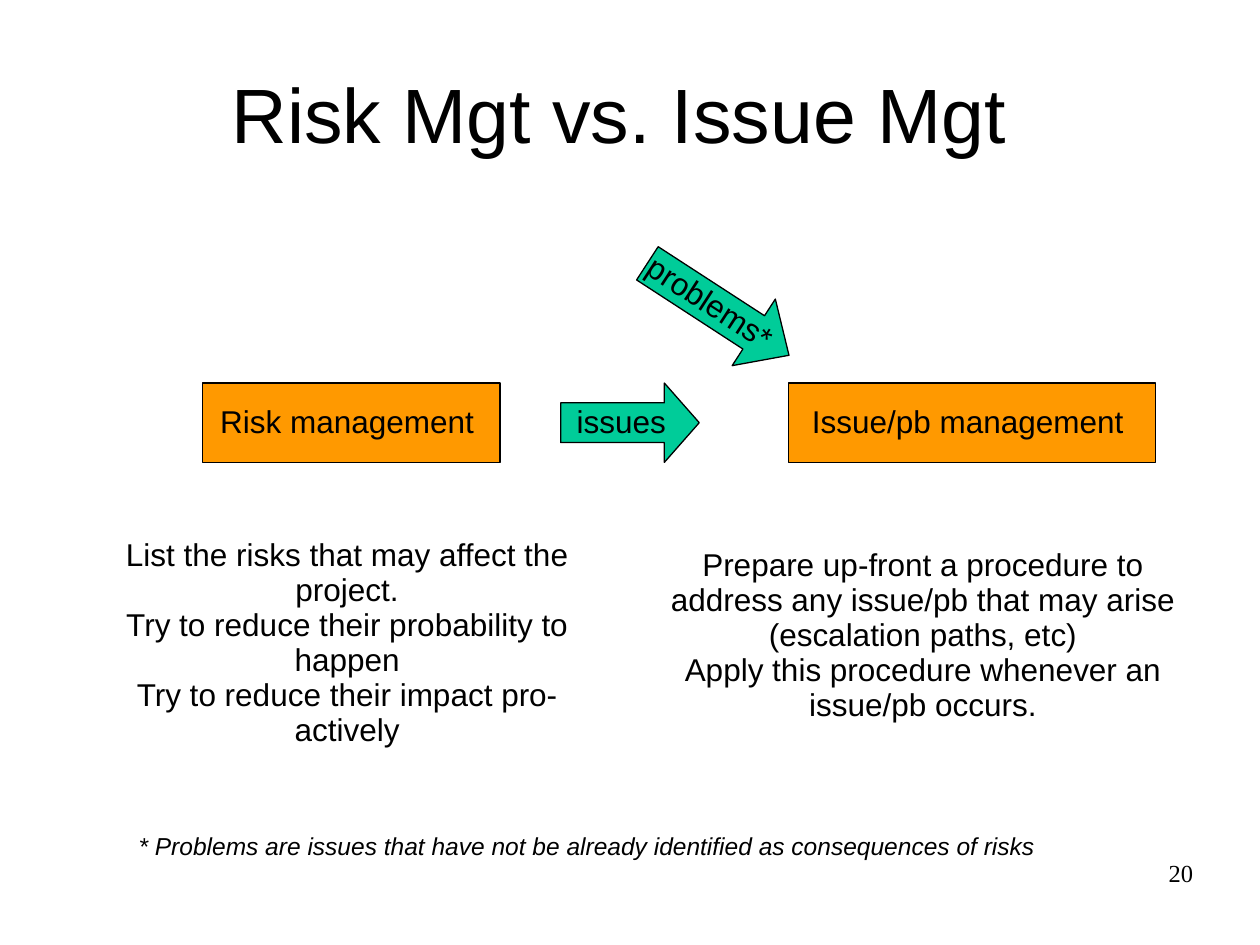
from typing import NamedTuple, Optional

from pptx import Presentation
from pptx.dml.color import RGBColor
from pptx.enum.shapes import MSO_SHAPE
from pptx.enum.text import MSO_ANCHOR, MSO_AUTO_SIZE, PP_ALIGN
from pptx.util import Pt

PX = 9144  # EMU per px, 100 px to the inch
BLACK = RGBColor(0x00, 0x00, 0x00)
ORANGE = RGBColor(0xFF, 0x99, 0x00)
GREEN = RGBColor(0x00, 0xCC, 0x99)


class Area(NamedTuple):
    left: int
    top: int
    width: int
    height: int

    def emu(self) -> list[int]:
        return [length * PX for length in self]


class Step(NamedTuple):
    """A filled process box or flow arrow with a one-line label."""
    kind: MSO_SHAPE
    area: Area
    fill: RGBColor
    label: str
    rotation: int = 0
    head_length: Optional[float] = None


class Note(NamedTuple):
    area: Area
    paragraphs: list[str]
    size: int = 18
    font: str = "Arial"
    italic: bool = False
    alignment: PP_ALIGN = PP_ALIGN.CENTER
    spacing: float = 0.93
    wrap: bool = True
    insets: tuple[int, int] = (10, 5)


ROW_TOP, ROW_HEIGHT = 304, 63

STEPS = [
    Step(MSO_SHAPE.FLOWCHART_PROCESS, Area(626, ROW_TOP, 291, ROW_HEIGHT),
         ORANGE, "Issue/pb management "),
    Step(MSO_SHAPE.FLOWCHART_PROCESS, Area(161, ROW_TOP, 236, ROW_HEIGHT),
         ORANGE, "Risk management "),
    Step(MSO_SHAPE.RIGHT_ARROW, Area(445, ROW_TOP, 110, ROW_HEIGHT),
         GREEN, "issues", head_length=0.44),
    Step(MSO_SHAPE.RIGHT_ARROW, Area(503, 214, 134, ROW_HEIGHT),
         GREEN, "problems*", rotation=33, head_length=0.53),
]

NOTES = [
    Note(Area(59, 422, 433, 205), [
        "List the risks that may affect the project.",
        "Try to reduce their probability to happen",
        "Try to reduce their impact pro-actively",
    ]),
    Note(Area(516, 430, 433, 205), [
        "Prepare up-front a procedure to address any issue/pb that may arise "
        "(escalation paths, etc)",
        "Apply this procedure whenever an issue/pb occurs.",
    ]),
    Note(Area(100, 656, 732, 33), [
        "* Problems are issues that have not be already identified as "
        "consequences of risks",
    ], size=14, italic=True, spacing=0.97, wrap=False),
    Note(Area(717, 683, 230, 49), ["20"], size=14, font="Times New Roman",
         alignment=PP_ALIGN.RIGHT, insets=(0, 0)),
]


def write_paragraph(paragraph, text: str, size: int, spacing: float = 0.93,
                    font: str = "Arial", italic: bool = False,
                    alignment: PP_ALIGN = PP_ALIGN.CENTER) -> None:
    paragraph.alignment = alignment
    paragraph.line_spacing = spacing
    run = paragraph.add_run()
    run.text = text
    run.font.name = font
    run.font.size = Pt(size)
    run.font.italic = italic
    run.font.color.rgb = BLACK


def set_title(slide, area: Area, text: str) -> None:
    title = slide.shapes.title
    title.left, title.top, title.width, title.height = area.emu()
    frame = title.text_frame
    frame.auto_size = MSO_AUTO_SIZE.NONE
    frame.vertical_anchor = MSO_ANCHOR.MIDDLE
    write_paragraph(frame.paragraphs[0], text, 44, spacing=0.95)


def draw_step(slide, step: Step) -> None:
    shape = slide.shapes.add_shape(step.kind, *step.area.emu())
    shape.shadow.inherit = False
    shape.rotation = step.rotation
    if step.head_length is not None:
        shape.adjustments[0] = 0.5
        shape.adjustments[1] = step.head_length
    shape.fill.solid()
    shape.fill.fore_color.rgb = step.fill
    shape.line.color.rgb = BLACK
    shape.line.width = Pt(0.75)
    frame = shape.text_frame
    frame.word_wrap = False
    frame.vertical_anchor = MSO_ANCHOR.MIDDLE
    write_paragraph(frame.paragraphs[0], step.label, 18)


def draw_note(slide, note: Note) -> None:
    frame = slide.shapes.add_textbox(*note.area.emu()).text_frame
    frame.word_wrap = note.wrap
    side, end = (inset * PX for inset in note.insets)
    frame.margin_left = frame.margin_right = side
    frame.margin_top = frame.margin_bottom = end
    for index, text in enumerate(note.paragraphs):
        paragraph = frame.add_paragraph() if index else frame.paragraphs[0]
        write_paragraph(paragraph, text, note.size, note.spacing, note.font,
                        note.italic, note.alignment)


def main() -> None:
    presentation = Presentation()
    presentation.slide_width = 1000 * PX
    presentation.slide_height = 750 * PX
    title_only = presentation.slide_layouts[5]
    slide = presentation.slides.add_slide(title_only)

    set_title(slide, Area(50, 53, 900, 80), "Risk Mgt vs. Issue Mgt ")
    for step in STEPS:
        draw_step(slide, step)
    for note in NOTES:
        draw_note(slide, note)

    presentation.save("out.pptx")


if __name__ == "__main__":
    main()
